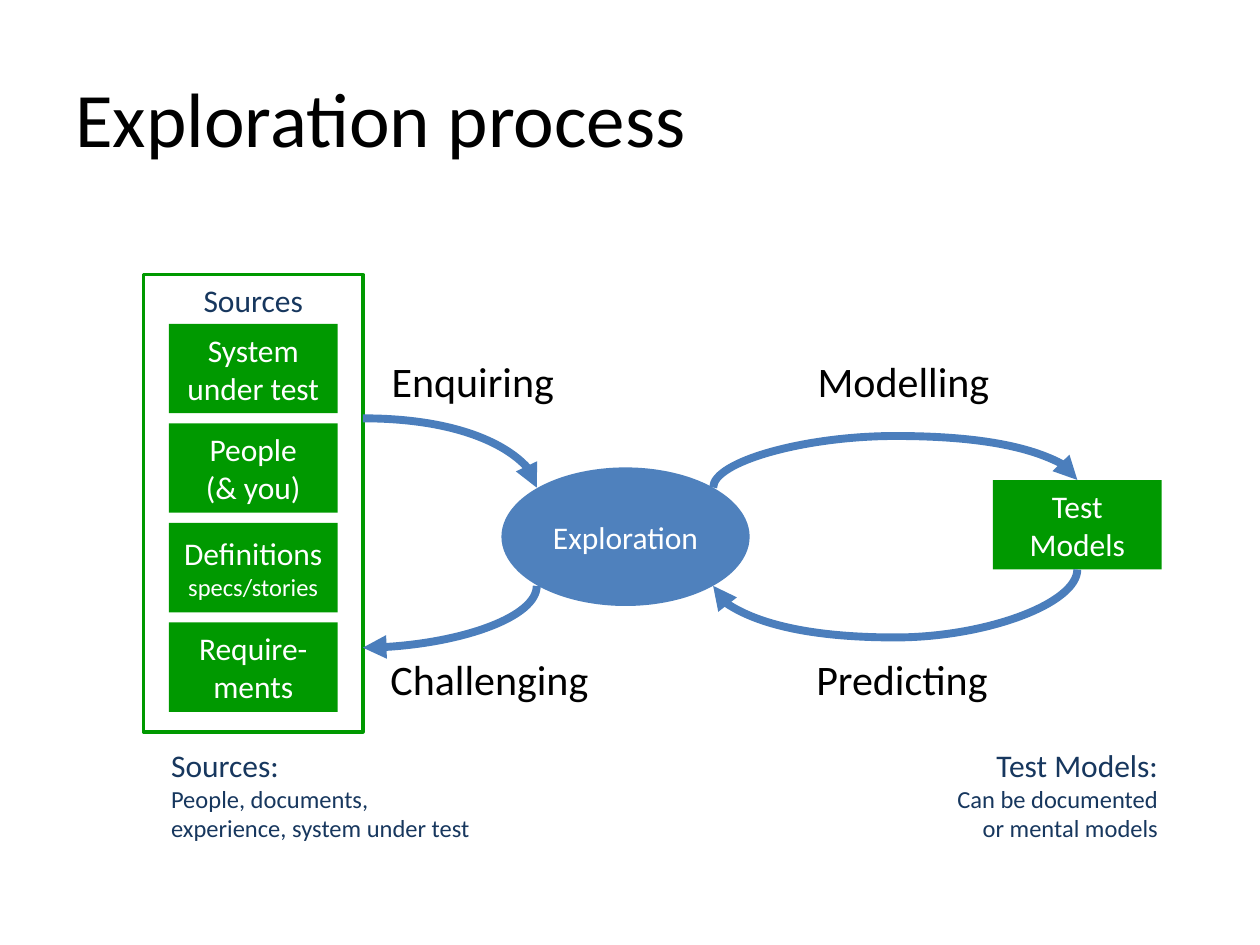
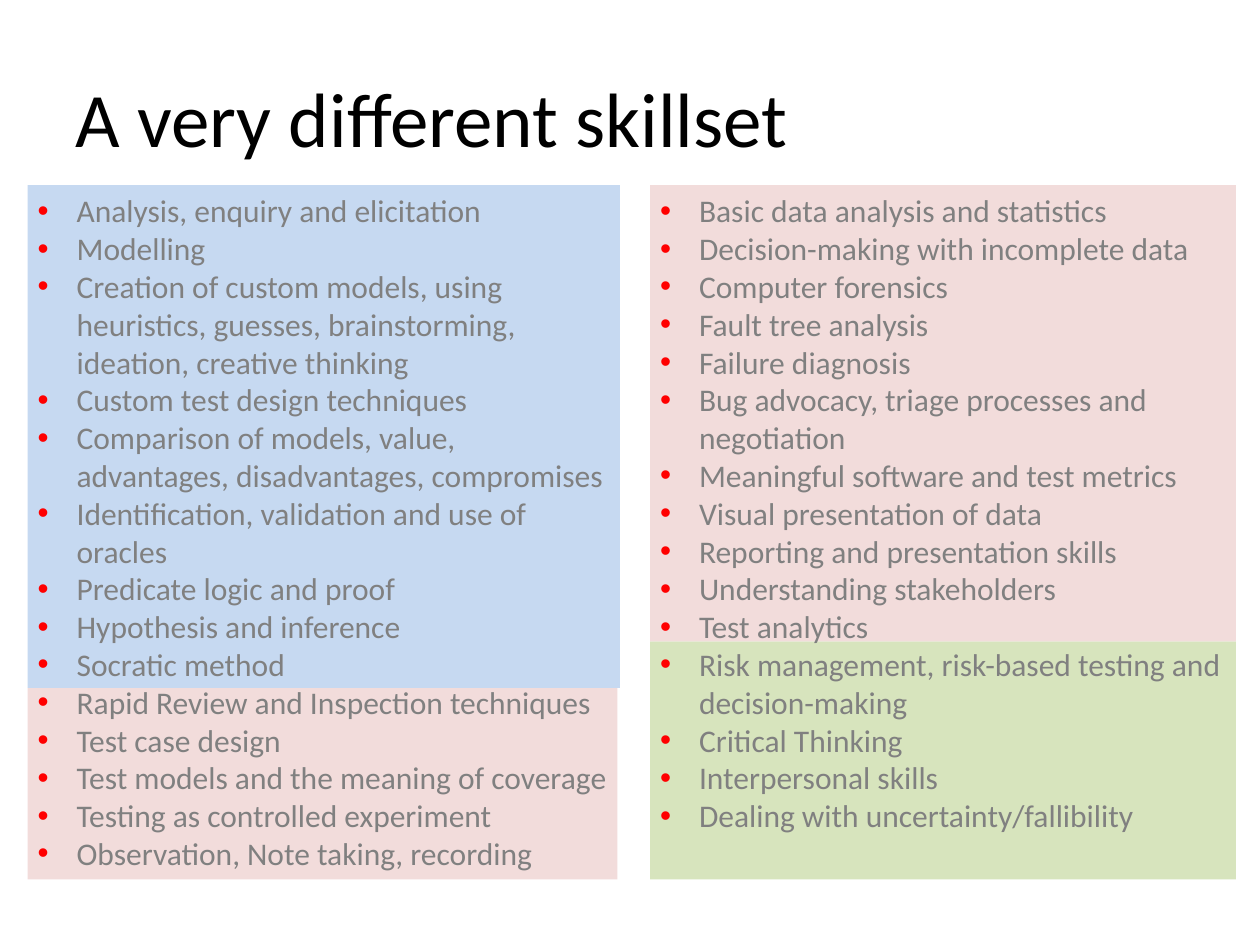
from dataclasses import dataclass
from typing import Any, NamedTuple, Optional

from lxml.etree import SubElement
from pptx import Presentation
from pptx.dml.color import RGBColor
from pptx.enum.shapes import MSO_CONNECTOR as Link, MSO_SHAPE as Preset
from pptx.enum.text import MSO_ANCHOR as Anchor, MSO_AUTO_SIZE as AutoSize, PP_ALIGN as Align
from pptx.oxml.ns import qn
from pptx.util import Inches, Pt

FONT = "Calibri"
BLACK, WHITE, NAVY, GREY, RED = "000000", "FFFFFF", "17375E", "808080", "FF0000"
GREEN, BLUE, ARROW_BLUE = "009900", "4F81BD", "4B7EBC"
PALE_BLUE, PALE_RED, PALE_GREEN = "C6D9F1", "F2DCDB", "D7E4BD"

SOURCE_SIZE = (1.34, 0.71)
SOURCE_TOP, SOURCE_PITCH = 2.57, 0.79
BULLET_INDENT = 0.31


class Run(NamedTuple):
    """Words in one size."""

    words: str
    size: float = 18


Paragraphs = list[list[Run]]


@dataclass
class Panel:
    """A preset shape with optional fill, outline and text."""

    left: float
    top: float
    width: float
    height: float
    fill: Optional[str] = None
    paragraphs: Optional[Paragraphs] = None
    preset: Preset = Preset.RECTANGLE
    outline: Optional[str] = None
    ink: str = WHITE
    anchor: Anchor = Anchor.MIDDLE


@dataclass
class Caption:
    """A free-standing text."""

    left: float
    top: float
    width: float
    height: float
    paragraphs: Paragraphs
    ink: str = BLACK
    align: Align = Align.LEFT
    anchor: Anchor = Anchor.TOP
    wrap: bool = False
    bulleted: bool = False


@dataclass
class Flow:
    """A curved arrow; a bend gives the height its arc reaches."""

    start: tuple[float, float]
    end: tuple[float, float]
    upright: bool = True
    bend: Optional[float] = None
    source: Optional[tuple[Any, int]] = None
    target: Optional[tuple[Any, int]] = None


def colour(value: str) -> RGBColor:
    """Turn a hex string into a colour."""
    return RGBColor.from_string(value)


def apply_format(item: Any, values: dict[str, Any]) -> None:
    """Set each named attribute of an item."""
    for name, value in values.items():
        setattr(item, name, value)


def add_bullet(paragraph: Any) -> None:
    """Give a paragraph a red bullet with a hanging indent."""
    properties = paragraph._p.get_or_add_pPr()
    indent = Inches(BULLET_INDENT)
    properties.set("marL", str(indent))
    properties.set("indent", str(-indent))
    tint = SubElement(properties, qn("a:buClr"))
    SubElement(tint, qn("a:srgbClr")).set("val", RED)
    SubElement(properties, qn("a:buFont")).set("typeface", "Arial")
    SubElement(properties, qn("a:buChar")).set("char", "•")


def write_text(frame: Any, paragraphs: Paragraphs, ink: str, align: Align, bulleted: bool = False) -> None:
    """Fill a text frame with paragraphs of runs."""
    for number, runs in enumerate(paragraphs):
        paragraph = frame.add_paragraph() if number else frame.paragraphs[0]
        paragraph.alignment = align
        if bulleted:
            add_bullet(paragraph)
        for run in runs:
            for row, words in enumerate(run.words.split("\n")):
                if row:
                    paragraph.add_line_break()
                piece = paragraph.add_run()
                piece.text = words
                apply_format(piece.font, {"name": FONT, "size": Pt(run.size)})
                piece.font.color.rgb = colour(ink)


def draw_panel(slide: Any, panel: Panel) -> Any:
    """Draw a panel and return its shape."""
    box = map(Inches, (panel.left, panel.top, panel.width, panel.height))
    shape = slide.shapes.add_shape(panel.preset, *box)
    shape.shadow.inherit = False
    if panel.fill:
        shape.fill.solid()
        shape.fill.fore_color.rgb = colour(panel.fill)
    else:
        shape.fill.background()
    if panel.outline:
        shape.line.color.rgb = colour(panel.outline)
        shape.line.width = Pt(2)
    else:
        shape.line.fill.background()
    apply_format(shape.text_frame, {"word_wrap": True, "vertical_anchor": panel.anchor})
    if panel.paragraphs:
        write_text(shape.text_frame, panel.paragraphs, panel.ink, Align.CENTER)
    return shape


def draw_caption(slide: Any, caption: Caption) -> None:
    """Draw a caption."""
    box = map(Inches, (caption.left, caption.top, caption.width, caption.height))
    frame = slide.shapes.add_textbox(*box).text_frame
    fit = AutoSize.NONE if caption.anchor == Anchor.MIDDLE else AutoSize.SHAPE_TO_FIT_TEXT
    apply_format(frame, {"word_wrap": caption.wrap, "auto_size": fit, "vertical_anchor": caption.anchor})
    write_text(frame, caption.paragraphs, caption.ink, caption.align, caption.bulleted)


def draw_flow(slide: Any, flow: Flow) -> None:
    """Draw a curved arrow, turned a quarter when it leaves upright."""
    (x1, y1), (x2, y2) = flow.start, flow.end
    across, down = x2 - x1, y2 - y1
    local_x, local_y = (down, -across) if flow.upright else (across, down)
    mid_x, mid_y = (x1 + x2) / 2, (y1 + y2) / 2
    ends = (mid_x - local_x / 2, mid_y - local_y / 2, mid_x + local_x / 2, mid_y + local_y / 2)
    arrow = slide.shapes.add_connector(Link.CURVE, *map(Inches, ends))
    arrow.line.color.rgb = colour(ARROW_BLUE)
    arrow.line.width = Pt(4.5)
    properties = arrow._element.spPr
    if flow.upright:
        properties.find(qn("a:xfrm")).set("rot", "5400000")
    geometry = properties.find(qn("a:prstGeom"))
    geometry.set("prst", "curvedConnector2" if flow.bend is None else "curvedConnector3")
    if flow.bend is not None:
        guide = SubElement(geometry.find(qn("a:avLst")), qn("a:gd"))
        guide.set("name", "adj1")
        guide.set("fmla", f"val {round((flow.bend - y1) / down * 100000)}")
    SubElement(properties.find(qn("a:ln")), qn("a:tailEnd")).set("type", "triangle")
    SubElement(properties, qn("a:effectLst"))
    joints = arrow._element.nvCxnSpPr.cNvCxnSpPr
    for tag, joint in (("a:stCxn", flow.source), ("a:endCxn", flow.target)):
        if joint:
            link = SubElement(joints, qn(tag))
            link.set("id", str(joint[0].shape_id))
            link.set("idx", str(joint[1]))


def start_slide(deck: Any) -> Any:
    """Add a blank slide."""
    return deck.slides.add_slide(deck.slide_layouts[6])


def draw_title(slide: Any, words: str) -> None:
    """Draw the slide title."""
    draw_caption(slide, Caption(0.5, 0.3, 9, 1.25, [[Run(words, 44)]], anchor=Anchor.MIDDLE, wrap=True))


def build_process(deck: Any) -> None:
    """Build the exploration process slide."""
    slide = start_slide(deck)
    draw_title(slide, "Exploration process")
    exploration = draw_panel(
        slide, Panel(3.98, 3.71, 1.97, 1.1, BLUE, [[Run("Exploration")]], preset=Preset.OVAL))
    draw_panel(slide, Panel(1.14, 2.18, 1.74, 3.63, None, [[Run("Sources")]],
                            outline=GREEN, ink=NAVY, anchor=Anchor.TOP))
    sources = (
        [Run("System under test")],
        [Run("People\n(& you)")],
        [Run("Definitions "), Run("specs/stories", 14)],
        [Run("Require-ments")],
    )
    for row, runs in enumerate(sources):
        draw_panel(slide, Panel(1.34, SOURCE_TOP + row * SOURCE_PITCH, *SOURCE_SIZE, GREEN, [runs]))
    models = draw_panel(slide, Panel(7.88, 3.81, *SOURCE_SIZE, GREEN, [[Run("Test")], [Run("Models")]]))

    flows = (
        Flow((2.88, 3.32), (4.26, 3.87), upright=False, target=(exploration, 1)),
        Flow((4.26, 4.65), (2.88, 5.14), source=(exploration, 3)),
        Flow((5.66, 3.87), (8.55, 3.81), bend=3.46, source=(exploration, 7), target=(models, 0)),
        Flow((8.55, 4.52), (5.66, 4.65), bend=5.06, source=(models, 2), target=(exploration, 5)),
    )
    for flow in flows:
        draw_flow(slide, flow)

    activities = (
        ("Enquiring", 3.01, 2.77, 1.5),
        ("Challenging", 3.0, 5.14, 1.78),
        ("Modelling", 6.39, 2.77, 1.58),
        ("Predicting", 6.38, 5.14, 1.58),
    )
    for words, left, top, width in activities:
        draw_caption(slide, Caption(left, top, width, 0.5, [[Run(words, 24)]]))
    notes = (
        (1.26, 2.64, Align.LEFT, ("Sources:", "People, documents,", "experience, system under test")),
        (7.48, 1.81, Align.RIGHT, ("Test Models:", "Can be documented", "or mental models")),
    )
    for left, width, align, (heading, *details) in notes:
        paragraphs = [[Run(heading)], *([Run(detail, 14)] for detail in details)]
        draw_caption(slide, Caption(left, 5.87, width, 0.88, paragraphs, NAVY, align))


def build_skillset(deck: Any) -> None:
    """Build the skillset slide."""
    slide = start_slide(deck)
    bands = (
        Panel(5.16, 5.09, 4.65, 1.89, PALE_GREEN),
        Panel(0.22, 5.46, 4.68, 1.52, PALE_RED),
        Panel(5.16, 1.47, 4.65, 3.62, PALE_RED),
        Panel(0.22, 1.47, 4.7, 3.99, PALE_BLUE),
    )
    for band in bands:
        draw_panel(slide, band)
    draw_title(slide, "A very different skillset")
    testing_skills = (
        "Analysis, enquiry and elicitation",
        "Modelling",
        "Creation of custom models, using heuristics, guesses, brainstorming, ideation, creative thinking",
        "Custom test design techniques",
        "Comparison of models, value, advantages, disadvantages, compromises",
        "Identification, validation and use of oracles",
        "Predicate logic and proof",
        "Hypothesis and inference",
        "Socratic method",
        "Rapid Review and Inspection techniques",
        "Test case design",
        "Test models and the meaning of coverage",
        "Testing as controlled experiment",
        "Observation, Note taking, recording",
    )
    reporting_skills = (
        "Basic data analysis and statistics",
        "Decision-making with incomplete data",
        "Computer forensics",
        "Fault tree analysis",
        "Failure diagnosis",
        "Bug advocacy, triage processes and negotiation",
        "Meaningful software and test metrics",
        "Visual presentation of data",
        "Reporting and presentation skills",
        "Understanding stakeholders",
        "Test analytics",
        "Risk management, risk-based testing and decision-making",
        "Critical Thinking",
        "Interpersonal skills",
        "Dealing with uncertainty/fallibility",
    )
    columns = ((0.2, 4.72, 5.55, testing_skills), (5.14, 4.67, 5.25, reporting_skills))
    for left, width, height, skills in columns:
        paragraphs = [[Run(skill)] for skill in skills]
        draw_caption(slide, Caption(left, 1.47, width, height, paragraphs, GREY, wrap=True, bulleted=True))


def main() -> None:
    """Build and save the deck."""
    deck = Presentation()
    apply_format(deck, {"slide_width": Inches(10), "slide_height": Inches(7.5)})
    build_process(deck)
    build_skillset(deck)
    deck.save("out.pptx")


if __name__ == "__main__":
    main()
